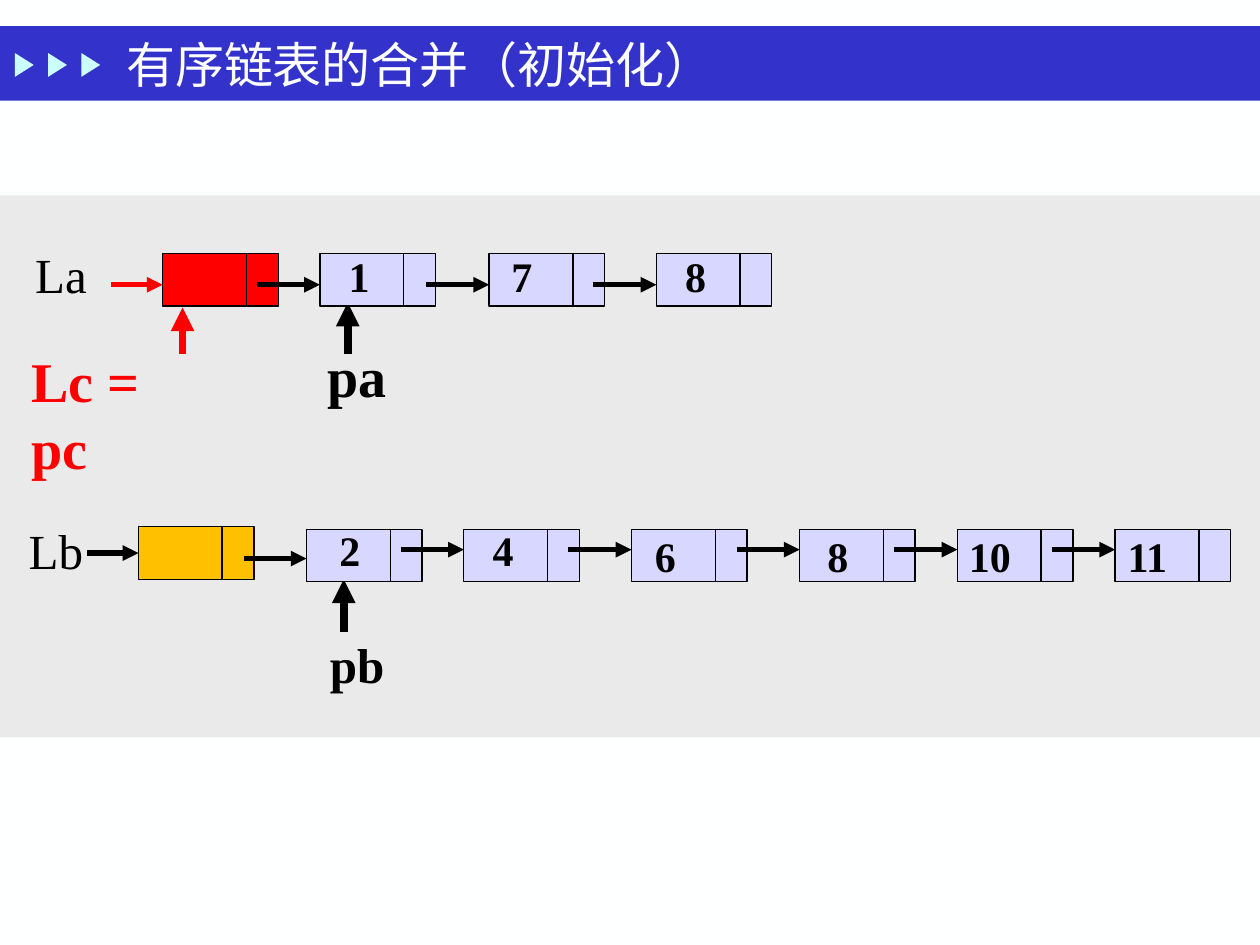
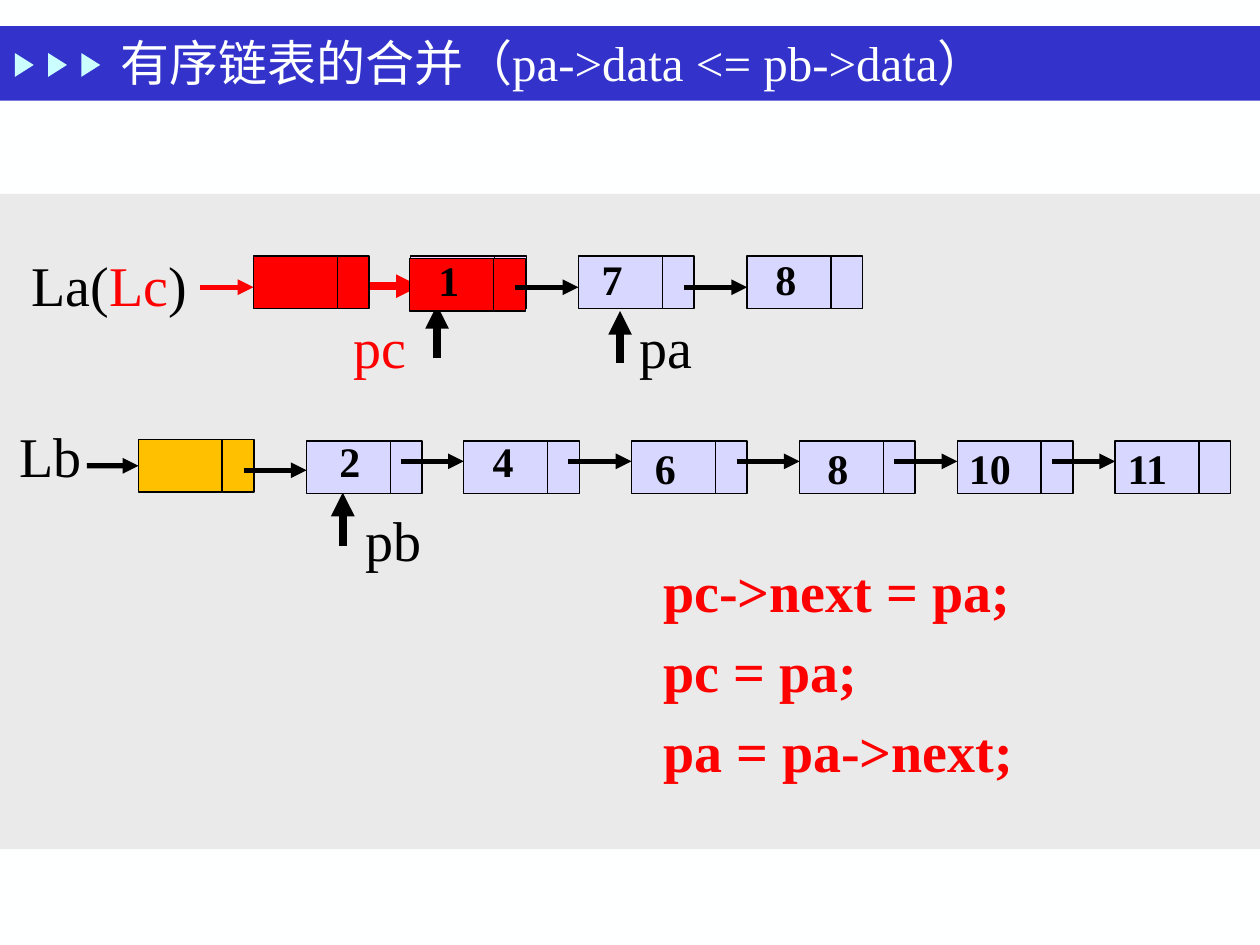
from lxml.etree import SubElement
from pptx import Presentation
from pptx.dml.color import RGBColor
from pptx.enum.shapes import MSO_CONNECTOR, MSO_SHAPE
from pptx.enum.text import MSO_ANCHOR, MSO_AUTO_SIZE, PP_ALIGN
from pptx.oxml.ns import qn
from pptx.util import Cm, Pt

THEME = {
    "font": "Times New Roman",
    "page": "FEFFFF", "band": "3333CC", "marker": "CBFFFF", "panel": "EAEAEA",
    "ink": "000000", "red": "FF0000", "node": "D7D7FF", "gold": "FFC000", "pink": "FFCCFF",
    "title": 28, "label": 28, "big": 32, "value": 24,
    "border": 0.75, "link": 3, "pointer": 4.5,
}
DATA_W, NEXT_W, CELL_H, LINK_W = 1.69, 0.64, 1.06, 1.27


def add_box(s, kind, x, y, w, h, fill, border=False):
    sp = s.shapes.add_shape(kind, Cm(x), Cm(y), Cm(w), Cm(h))
    sp.shadow.inherit = False
    sp.fill.solid()
    sp.fill.fore_color.rgb = RGBColor.from_string(THEME[fill])
    if border:
        sp.line.color.rgb = RGBColor.from_string(THEME["ink"])
        sp.line.width = Pt(THEME["border"])
    else:
        sp.line.fill.background()
    return sp


def add_arrow(s, x1, y1, x2, y2, color="ink", weight="link"):
    c = s.shapes.add_connector(MSO_CONNECTOR.STRAIGHT, Cm(x1), Cm(y1), Cm(x2), Cm(y2))
    c.line.color.rgb = RGBColor.from_string(THEME[color])
    c.line.width = Pt(THEME[weight])
    SubElement(c.line._get_or_add_ln(), qn("a:tailEnd"), type="triangle")
    SubElement(c._element.spPr, qn("a:effectLst"))
    return c


# List Lb: left edge, value, shift of the value, drop of the incoming link
LB = [(6.18, "2", 0.41, -0.23, 0.59), (9.35, "4", 0.33, -0.23, 0.41),
      (12.73, "6", 0.22, -0.1, 0.41), (16.12, "8", 0.31, -0.1, 0.41),
      (19.3, "10", -0.02, -0.1, 0.41), (22.48, "11", 0, -0.1, 0.41)]
LB_HEAD_X, LB_ARROW_X = 2.79, 1.75

# Nodes: x, y, fill, value, value shift x and y, link drop (None: no link)
# Labels: x, y, w, h, runs, size, bold, wrap
SLIDES = [
    {
        "title": ("有序链表的合并（初始化）", 2.29, 0.56, 18.8, 1.45),
        "panel": (3.94, 10.92),
        "lb": (10.62, 10.67),
        "nodes": [(3.28, 5.11, "red", "", 0, 0, None),
                  (6.45, 5.11, "node", "1", 0.33, -0.18, 0.63),
                  (9.86, 5.11, "node", "7", 0.2, -0.18, 0.63),
                  (13.23, 5.11, "node", "8", 0.33, -0.18, 0.63)],
        "pointers": [(7.01, 7.14, 7.01, 6.1, "ink", "pointer"),
                     (2.24, 5.74, 3.28, 5.74, "red", "link"),
                     (6.93, 12.75, 6.93, 11.68, "ink", "pointer"),
                     (3.68, 7.14, 3.68, 6.2, "red", "pointer")],
        "labels": [(6.35, 6.76, 1.73, 1.63, [("pa", "ink")], "big", True, False),
                   (0.46, 4.8, 1.55, 1.45, [("La", "ink")], "label", False, False),
                   (0.33, 10.36, 1.63, 1.45, [("Lb", "ink")], "label", False, False),
                   (6.4, 12.67, 1.63, 1.45, [("pb", "ink")], "label", True, False),
                   (0.38, 6.86, 3.83, 1.6, [("Lc = pc", "red")], "big", True, False)],
    },
    {
        "title": ("有序链表的合并（pa->data <= pb->data）", 2.18, 0.53, 21.67, 1.42),
        "panel": (3.91, 13.21),
        "lb": (8.86, 8.89),
        "nodes": [(5.11, 5.16, "red", "", 0, 0, None),
                  (8.28, 5.16, "pink", "", 0, 0, None),
                  (8.26, 5.21, "red", "1", 0.33, -0.2, None),
                  (11.66, 5.16, "node", "7", 0.22, -0.18, 0.63),
                  (15.06, 5.16, "node", "8", 0.32, -0.18, 0.63)],
        "pointers": [(8.81, 7.21, 8.81, 6.15, "ink", "pointer"),
                     (4.04, 5.79, 5.11, 5.79, "red", "link"),
                     (7.19, 5.77, 8.46, 5.77, "red", "pointer"),
                     (12.5, 7.32, 12.5, 6.27, "ink", "pointer"),
                     (6.91, 11, 6.91, 9.93, "ink", "pointer")],
        "labels": [(0.38, 4.93, 4.09, 1.6, [("La(", "ink"), ("Lc", "red"), (")", "ink")],
                    "big", False, True),
                   (0.15, 8.38, 1.78, 1.63, [("Lb", "ink")], "big", False, False),
                   (7.11, 10.06, 1.65, 1.63, [("pb", "ink")], "big", False, False),
                   (6.88, 6.17, 2.41, 1.6, [("pc", "red")], "big", False, True),
                   (12.65, 6.17, 2.01, 1.6, [("pa", "ink")], "big", False, True)]
                  + [(13.12, 11.1 + 1.61 * i, 10.24, 1.6, [(code, "red")], "big", True, True)
                     for i, code in enumerate(["pc->next = pa;", "pc = pa;", "pa = pa->next;"])],
    },
]

prs = Presentation()
prs.slide_width, prs.slide_height = Cm(25.4), Cm(19.05)

for page in SLIDES:
    s = prs.slides.add_slide(prs.slide_layouts[5])
    s.background.fill.solid()
    s.background.fill.fore_color.rgb = RGBColor.from_string(THEME["page"])

    # Band with three markers, grey panel
    add_box(s, MSO_SHAPE.RECTANGLE, 0, 0.53, 25.4, 1.5, "band")
    for i in range(3):
        add_box(s, MSO_SHAPE.ISOSCELES_TRIANGLE, 0.25 + 0.67 * i, 1.12, 0.48, 0.38,
                "marker").rotation = 90
    top, height = page["panel"]
    add_box(s, MSO_SHAPE.RECTANGLE, 0, top, 25.4, height, "panel")

    # Title, brought in front of the band
    title = s.shapes.title
    text, *place = page["title"]
    for name, value in zip(("left", "top", "width", "height"), place):
        setattr(title, name, Cm(value))
    tf = title.text_frame
    tf.text = text
    for name, value in {"vertical_anchor": MSO_ANCHOR.MIDDLE, "word_wrap": True,
                        "auto_size": MSO_AUTO_SIZE.NONE}.items():
        setattr(tf, name, value)
    p = tf.paragraphs[0]
    p.alignment = PP_ALIGN.LEFT
    font = p.runs[0].font
    font.name, font.size = THEME["font"], Pt(THEME["title"])
    font.color.rgb = RGBColor.from_string(THEME["page"])
    s.shapes._spTree.append(title._element)

    # Pointer arrows, below the nodes
    for pointer in page["pointers"]:
        add_arrow(s, *pointer)

    # Nodes of both lists: a data cell and a next cell each
    head_y, lb_y = page["lb"]
    nodes = page["nodes"] + [(LB_HEAD_X, head_y, "gold", "", 0, 0, None)]
    nodes += [(x, lb_y, "node", value, dx, dy, drop) for x, value, dx, dy, drop in LB]
    labels = list(page["labels"])
    for x, y, fill, value, dx, dy, drop in nodes:
        cell = add_box(s, MSO_SHAPE.RECTANGLE, x, y, DATA_W, CELL_H, fill, True)
        add_box(s, MSO_SHAPE.RECTANGLE, x + DATA_W, y, NEXT_W, CELL_H, fill, True)
        if fill == "gold":
            middle = y + CELL_H / 2
            add_arrow(s, LB_ARROW_X, middle, x, middle).end_connect(cell, 1)
        if value:
            labels.append((x + dx, y + dy, 0.94 if len(value) == 1 else 1.37, 1.3,
                           [(value, "ink")], "value", True, False))

    # Links into the nodes
    for x, y, fill, value, dx, dy, drop in nodes:
        if drop is not None:
            add_arrow(s, x - LINK_W, y + drop, x, y + drop)

    # Labels, node values and code lines
    for x, y, w, h, runs, size, bold, wrap in labels:
        tf = s.shapes.add_textbox(Cm(x), Cm(y), Cm(w), Cm(h)).text_frame
        tf.word_wrap = wrap
        tf.auto_size = MSO_AUTO_SIZE.SHAPE_TO_FIT_TEXT
        for text, color in runs:
            r = tf.paragraphs[0].add_run()
            r.text = text
            for name, value in {"name": THEME["font"], "size": Pt(THEME[size]),
                                "bold": bold}.items():
                setattr(r.font, name, value)
            r.font.color.rgb = RGBColor.from_string(THEME[color])

prs.save("out.pptx")
